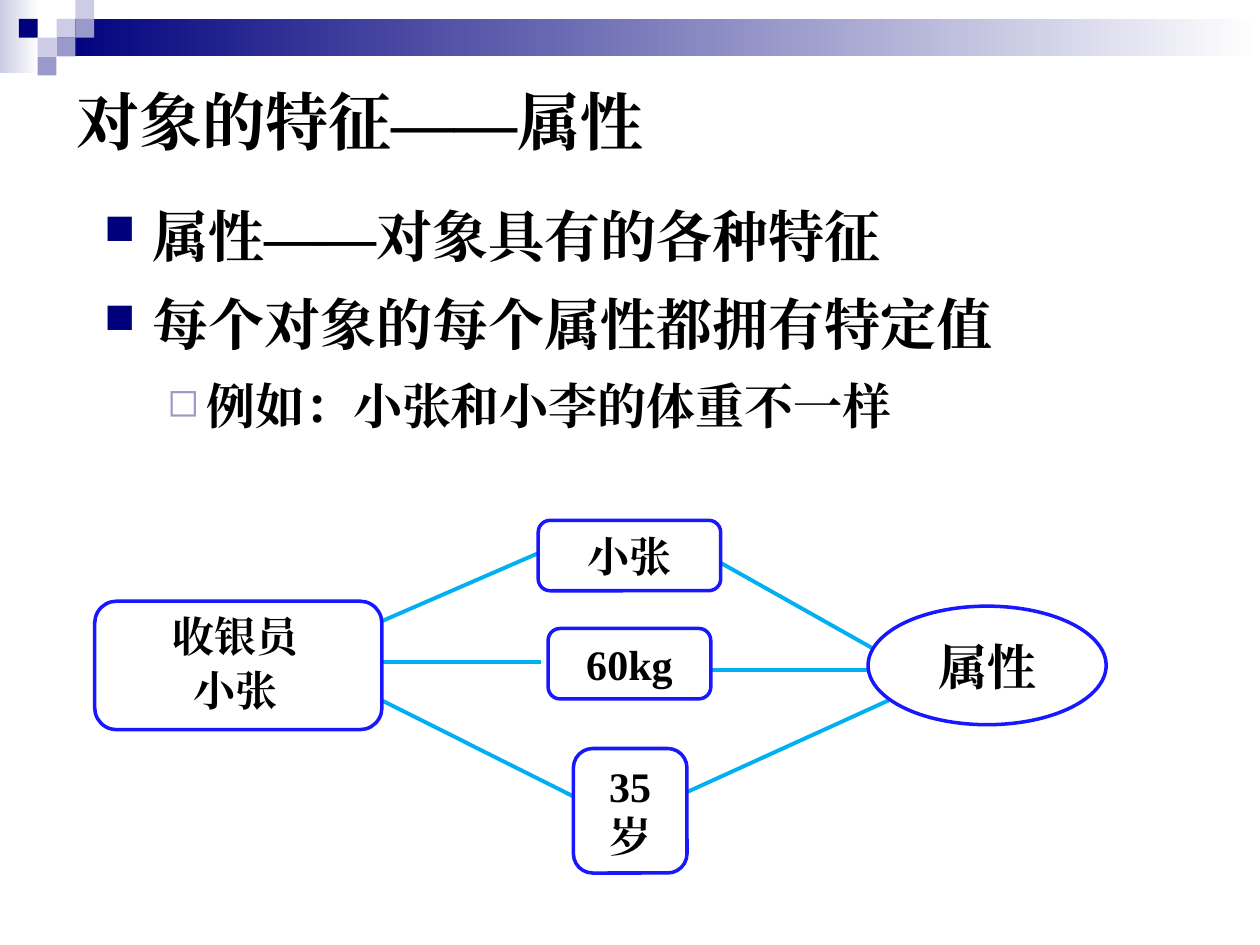
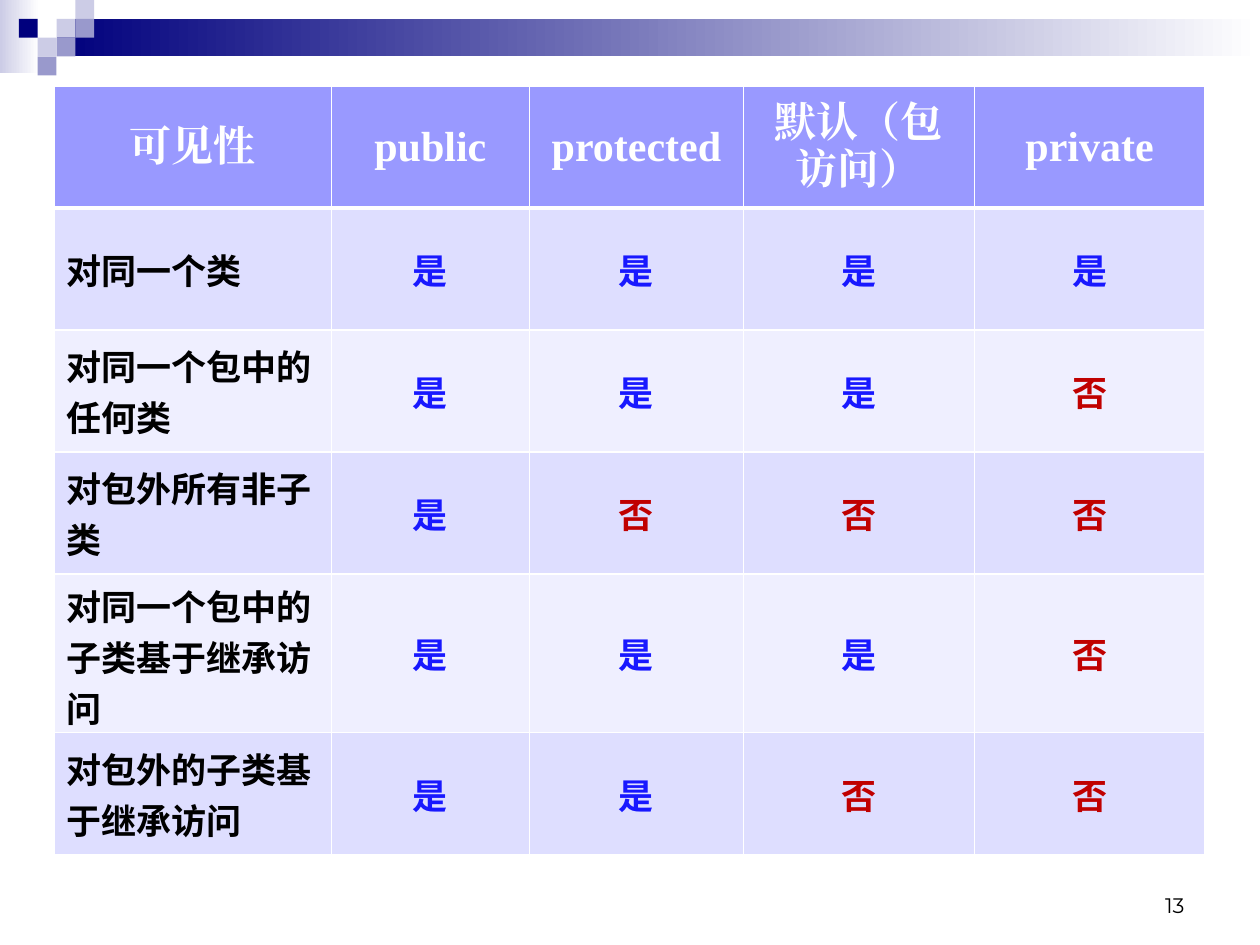
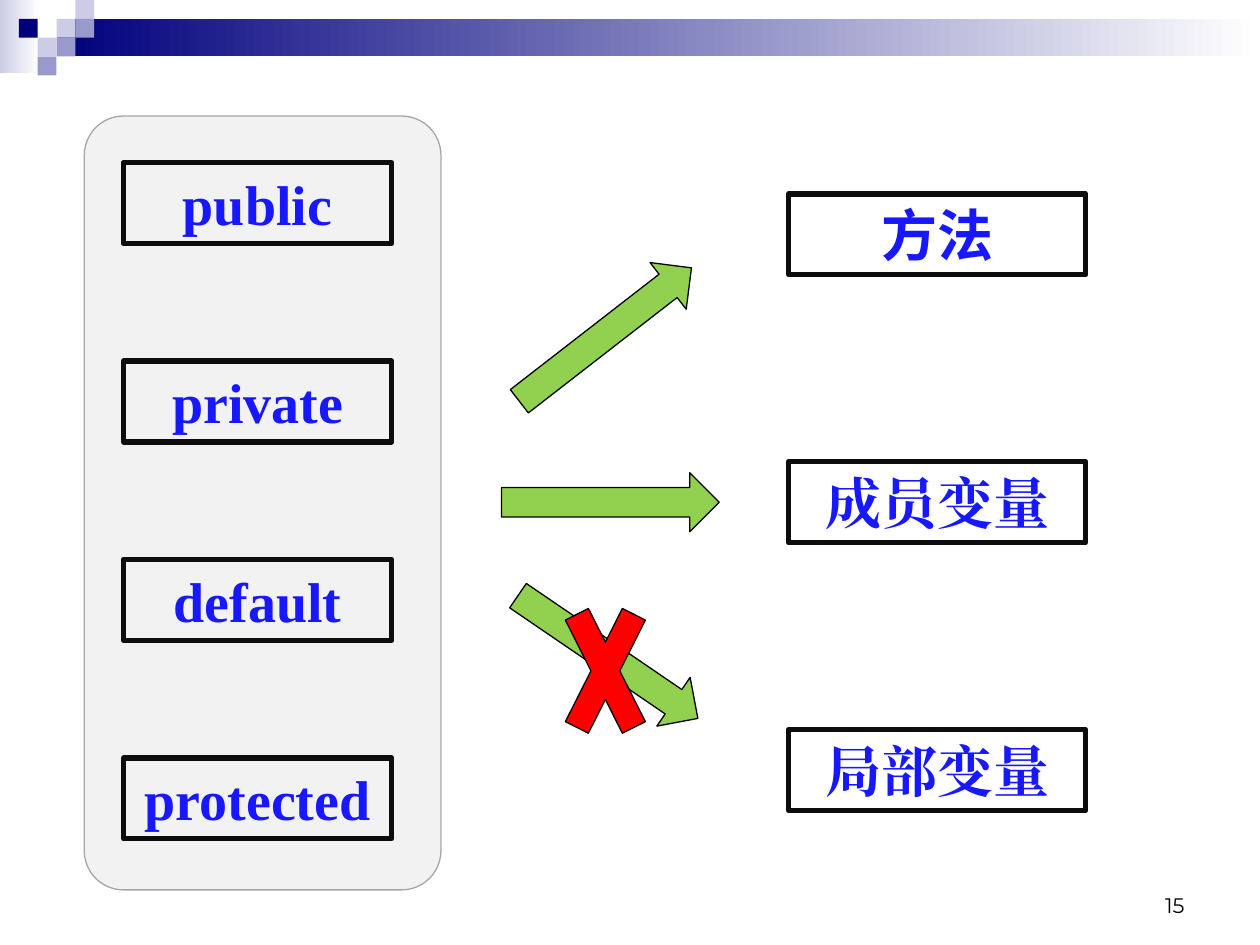
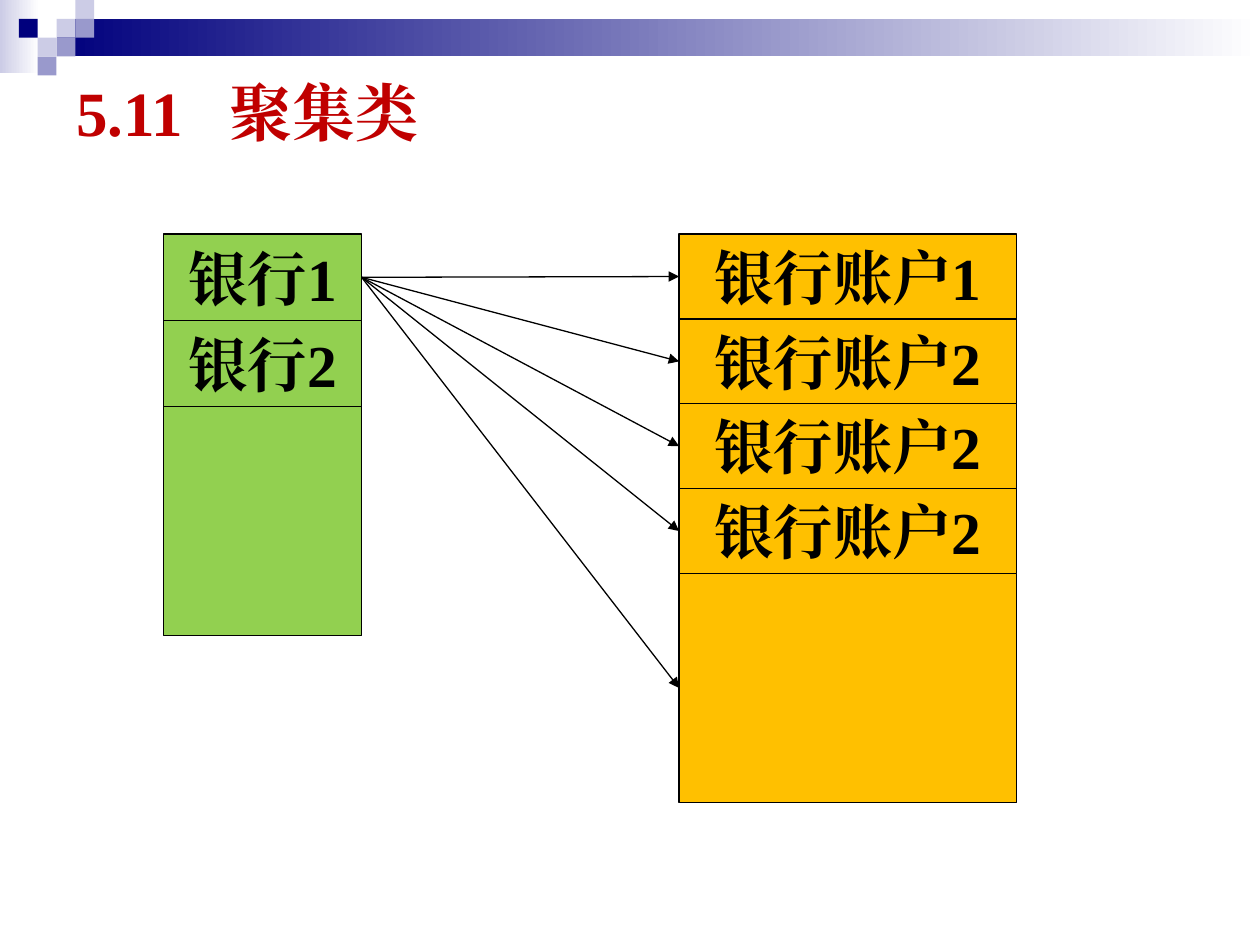
from dataclasses import dataclass

from lxml import etree
from pptx import Presentation
from pptx.dml.color import RGBColor
from pptx.enum.shapes import MSO_CONNECTOR, MSO_SHAPE
from pptx.enum.text import MSO_ANCHOR, MSO_AUTO_SIZE, PP_ALIGN
from pptx.oxml.ns import qn
from pptx.util import Cm, Pt

RECTANGLE = MSO_SHAPE.RECTANGLE
ROUNDED = MSO_SHAPE.ROUNDED_RECTANGLE
OVAL = MSO_SHAPE.OVAL
ARROW = MSO_SHAPE.RIGHT_ARROW
CROSS = MSO_SHAPE.MATH_MULTIPLY
STRAIGHT = MSO_CONNECTOR.STRAIGHT
LEFT, CENTER, RIGHT = PP_ALIGN.LEFT, PP_ALIGN.CENTER, PP_ALIGN.RIGHT
TOP, MIDDLE, BOTTOM = MSO_ANCHOR.TOP, MSO_ANCHOR.MIDDLE, MSO_ANCHOR.BOTTOM
NO_RESIZE = MSO_AUTO_SIZE.NONE

TITLE_ONLY, BLANK = 5, 6
LEFT_SIDE, RIGHT_SIDE = 1, 3

SERIF = "Times New Roman"
CHINESE = "Noto Sans CJK SC"
NUMBERS = "Montserrat"

BLACK, WHITE = "000000", "FFFFFF"
NAVY, LAVENDER, PALE = "00007D", "9999CC", "CCCCE6"
BLUE, SKY, DARK_RED, RED = "1818FF", "00B0F0", "C00000", "FF0000"
GREEN, AMBER = "92D050", "FFC000"
PANEL_GREY, PANEL_EDGE, FRAME = "F2F2F2", "A6A6A6", "0D0D0D"
HEADER_FILL, ROW_FILLS = "9999FF", ("DEDEFF", "EFEFFF")


@dataclass
class Box:
    left: float
    top: float
    width: float
    height: float
    text: str = ""
    kind: int = RECTANGLE
    fill: str = ""
    line: str = ""
    weight: float = 0.75
    size: float = 24
    color: str = BLACK
    font: str = SERIF
    rotation: float = 0
    corner: float = 0.17


@dataclass
class Line:
    start_x: float
    start_y: float
    end_x: float
    end_y: float


@dataclass
class Bullet:
    text: str
    level: int
    size: float
    margin: float
    hanging: float
    mark: str
    mark_color: str
    mark_percent: int


def rgb(value: str) -> RGBColor:
    return RGBColor.from_string(value)


def lengths(*values: float) -> list:
    return [Cm(value) for value in values]


def add_color_fill(parent, color: str) -> None:
    fill = etree.SubElement(parent, qn("a:solidFill"))
    etree.SubElement(fill, qn("a:srgbClr"), val=color)


def style_paragraph(para, size: float, color: str, align=CENTER, font: str = SERIF,
                    bold: bool = True) -> None:
    """Format the runs, with one typeface for Latin and Chinese text."""
    para.alignment = align
    for span in para.runs:
        span.font.name = font
        span.font.size = Pt(size)
        span.font.bold = bold
        span.font.color.rgb = rgb(color)
        etree.SubElement(span.font._element, qn("a:ea"), typeface=font)


def draw_box(slide, box: Box):
    shape = slide.shapes.add_shape(box.kind, *lengths(box.left, box.top, box.width, box.height))
    shape.shadow.inherit = False
    shape.rotation = box.rotation
    if box.kind == ROUNDED:
        shape.adjustments[0] = box.corner
    if box.fill:
        shape.fill.solid()
        shape.fill.fore_color.rgb = rgb(box.fill)
    else:
        shape.fill.background()
    if box.line:
        shape.line.color.rgb = rgb(box.line)
        shape.line.width = Pt(box.weight)
    else:
        shape.line.fill.background()
    if box.text:
        frame = shape.text_frame
        frame.word_wrap = True
        frame.vertical_anchor = MIDDLE
        frame.text = box.text
        for para in frame.paragraphs:
            style_paragraph(para, box.size, box.color, font=box.font)
    return shape


def draw_line(slide, line: Line, color: str, weight: float):
    connector = slide.shapes.add_connector(
        STRAIGHT, *lengths(line.start_x, line.start_y, line.end_x, line.end_y))
    connector.line.color.rgb = rgb(color)
    connector.line.width = Pt(weight)
    etree.SubElement(connector._element.spPr, qn("a:effectLst"))
    return connector


def draw_arrow_between(slide, source, target) -> None:
    connector = draw_line(slide, Line(0, 0, 1, 1), BLACK, 0.75)
    connector.begin_connect(source, RIGHT_SIDE)
    connector.end_connect(target, LEFT_SIDE)
    etree.SubElement(connector.line._get_or_add_ln(), qn("a:tailEnd"), type="triangle")


def draw_gradient(slide, box: Box, start: str):
    shape = draw_box(slide, box)
    shape.fill.gradient()
    shape.fill.gradient_angle = 0
    for stop, color in zip(shape.fill.gradient_stops, (start, WHITE)):
        stop.color.rgb = rgb(color)
    return shape


def move_band_to_master(deck, slide) -> None:
    """Draw the top band and its checker squares, then place them on the master."""
    unit = 0.38
    squares = [(3, 1, PALE), (4, 0, PALE), (4, 1, LAVENDER), (2, 2, PALE),
               (1, 1, NAVY), (3, 2, LAVENDER), (2, 3, LAVENDER)]
    band = [draw_gradient(slide, Box(0, 0, 0.79, 1.47), PALE),
            draw_gradient(slide, Box(3 * unit, unit, 24.26, 2 * unit), NAVY)]
    band += [draw_box(slide, Box(column * unit, row * unit, unit, unit, fill=color))
             for column, row, color in squares]
    for shape in band:
        deck.slide_master.shapes._spTree.append(shape._element)


def add_slide(deck, layout: int):
    return deck.slides.add_slide(deck.slide_layouts[layout])


def set_title(slide, text: str, top: float, height: float, color: str):
    title = slide.shapes.title
    title.left, title.top, title.width, title.height = lengths(1.28, top, 22.86, height)
    frame = title.text_frame
    frame.auto_size = NO_RESIZE
    frame.vertical_anchor = MIDDLE
    frame.text = text
    style_paragraph(frame.paragraphs[0], 36, color, LEFT)
    return title


def add_text_box(slide, left: float, top: float, width: float, height: float, anchor):
    frame = slide.shapes.add_textbox(*lengths(left, top, width, height)).text_frame
    frame.word_wrap = True
    frame.vertical_anchor = anchor
    return frame


def add_page_number(slide, number: int) -> None:
    frame = add_text_box(slide, 18.21, 17.35, 5.92, 1.27, BOTTOM)
    frame.text = str(number)
    style_paragraph(frame.paragraphs[0], 12, BLACK, RIGHT, NUMBERS, bold=False)


def add_bullets(frame, bullets: list[Bullet]) -> None:
    frame.text = "\n".join(bullet.text for bullet in bullets)
    for index, (para, bullet) in enumerate(zip(frame.paragraphs, bullets)):
        properties = para._p.get_or_add_pPr()
        properties.set("marL", str(Cm(bullet.margin)))
        properties.set("indent", str(-Cm(bullet.hanging)))
        mark_color = etree.SubElement(properties, qn("a:buClr"))
        etree.SubElement(mark_color, qn("a:srgbClr"), val=bullet.mark_color)
        etree.SubElement(properties, qn("a:buSzPct"), val=str(bullet.mark_percent * 1000))
        etree.SubElement(properties, qn("a:buChar"), char=bullet.mark)
        para.level = bullet.level
        para.line_spacing = 1.15
        if index:
            para.space_before = Pt(bullet.size * 0.2)
        style_paragraph(para, bullet.size, BLACK, LEFT)


def build_attributes(deck) -> None:
    slide = add_slide(deck, TITLE_ONLY)
    move_band_to_master(deck, slide)
    set_title(slide, "对象的特征——属性", 1.32, 2.21, BLACK)
    square = (0, 32, 0.97, 0.97, "■", NAVY, 75)
    add_bullets(add_text_box(slide, 1.85, 3.73, 22.86, 15.01, TOP), [
        Bullet("属性——对象具有的各种特征", *square),
        Bullet("每个对象的每个属性都拥有特定值", *square),
        Bullet("例如：小张和小李的体重不一样", 1, 28, 2.06, 0.79, "◻", LAVENDER, 80),
    ])
    for line in (Line(7.7, 12.52, 10.9, 11.13), Line(7.7, 13.34, 10.9, 13.34),
                 Line(7.7, 14.12, 11.71, 16.13), Line(14.5, 11.33, 17.7, 13.13),
                 Line(14.3, 13.51, 17.5, 13.51), Line(13.49, 16.13, 17.91, 14.12)):
        draw_line(slide, line, SKY, 2.25)

    outline = {"fill": WHITE, "line": BLUE, "weight": 2}
    draw_box(slide, Box(17.5, 12.22, 4.8, 2.39, "属性", OVAL, size=28, **outline))
    draw_box(slide, Box(1.91, 12.12, 5.79, 2.59, kind=ROUNDED, **outline))
    cashier = draw_box(slide, Box(2.29, 12.14, 4.9, 2.57, "收银员\n小张", ROUNDED))
    for para in cashier.text_frame.paragraphs:
        para.line_spacing = 0.9
    cashier.text_frame.paragraphs[1].space_before = Pt(4.8)
    for value in (Box(11.05, 12.67, 3.28, 1.42, "60kg", ROUNDED, **outline),
                  Box(10.85, 10.49, 3.68, 1.42, "小张", ROUNDED, **outline),
                  Box(11.56, 15.09, 2.29, 2.51, "35岁", ROUNDED, **outline)):
        draw_box(slide, value)


def set_borders(cell, top: float, bottom: float) -> None:
    properties = cell._tc.get_or_add_tcPr()
    for side, weight in (("L", 1), ("R", 1), ("T", top), ("B", bottom)):
        border = etree.SubElement(properties, qn(f"a:ln{side}"), w=str(Pt(weight)))
        add_color_fill(border, WHITE)


def build_visibility(deck) -> None:
    slide = add_slide(deck, BLANK)
    add_page_number(slide, 13)
    rows = [("可见性", "public", "protected", "默认（包访问）", "private"),
            ("对同一个类", *"是是是是"),
            ("对同一个包中的任何类", *"是是是否"),
            ("对包外所有非子类", *"是否否否"),
            ("对同一个包中的子类基于继承访问", *"是是是否"),
            ("对包外的子类基于继承访问", *"是是否否")]
    widths = (5.59, 3.99, 4.32, 4.65, 4.65)
    heights = (2.46, 2.46, 2.46, 2.46, 3.2, 2.46)
    answer_colors = {"是": BLUE, "否": DARK_RED}
    table = slide.shapes.add_table(
        len(rows), len(widths), *lengths(1.09, 1.73, sum(widths), sum(heights))).table
    table.horz_banding = False
    for column, width in zip(table.columns, widths):
        column.width = Cm(width)
    for row_index, (row, height) in enumerate(zip(rows, heights)):
        table.rows[row_index].height = Cm(height)
        is_header = row_index == 0
        for column_index, text in enumerate(row):
            cell = table.cell(row_index, column_index)
            set_borders(cell, 3 if row_index == 1 else 1, 3 if is_header else 1)
            cell.fill.solid()
            cell.fill.fore_color.rgb = rgb(
                HEADER_FILL if is_header else ROW_FILLS[(row_index - 1) % 2])
            cell.vertical_anchor = MIDDLE
            cell.text = text
            para = cell.text_frame.paragraphs[0]
            if is_header:
                style_paragraph(para, 24, WHITE)
            else:
                style_paragraph(para, 20, answer_colors.get(text, BLACK),
                                CENTER if column_index else LEFT, CHINESE)


def build_modifiers(deck) -> None:
    slide = add_slide(deck, BLANK)
    draw_box(slide, Box(1.7, 2.34, 7.19, 15.6, kind=ROUNDED, fill=PANEL_GREY,
                        line=PANEL_EDGE, corner=0.11))
    add_page_number(slide, 15)
    framed = {"line": FRAME, "weight": 3, "size": 32, "color": BLUE}
    for index, keyword in enumerate(("public", "private", "default", "protected")):
        draw_box(slide, Box(2.49, 3.28 + index * 4, 5.41, 1.63, keyword, **framed))
    for index, (member, font) in enumerate(
            (("方法", CHINESE), ("成员变量", SERIF), ("局部变量", SERIF))):
        draw_box(slide, Box(15.9, 3.91 + index * 5.4, 5.99, 1.63, member, font=font, **framed))
    for left, top, angle in ((10.01, 6.15, -37.8), (10.11, 9.53, 0), (10.06, 12.65, 34.3)):
        draw_box(slide, Box(left, top, 4.39, 1.19, kind=ARROW, fill=GREEN, line=BLACK,
                            rotation=angle))
    draw_box(slide, Box(11.1, 11.33, 2.21, 4.39, kind=CROSS, fill=RED, line=BLACK))


def draw_stack(slide, left: float, width: float, row_height: float, fill: str,
               labels: list[str]) -> list:
    """Draw labelled rows with a tall empty row below them."""
    top = 4.72
    look = {"fill": fill, "line": BLACK, "size": 34}
    shapes = [draw_box(slide, Box(left, top + index * row_height, width, row_height,
                                  label, **look))
              for index, label in enumerate(labels)]
    rest = Box(left, top + len(labels) * row_height, width, 4.62, **look)
    return shapes + [draw_box(slide, rest)]


def build_collection(deck) -> None:
    slide = add_slide(deck, TITLE_ONLY)
    title = set_title(slide, "5.11\t聚集类", 0.33, 3.81, DARK_RED)
    properties = title.text_frame.paragraphs[0]._p.get_or_add_pPr()
    tabs = etree.SubElement(properties, qn("a:tabLst"))
    etree.SubElement(tabs, qn("a:tab"), pos=str(Cm(3.1)), algn="l")
    banks = draw_stack(slide, 3.3, 3.99, 1.74, GREEN, ["银行1", "银行2"])
    accounts = draw_stack(slide, 13.69, 6.81, 1.71, AMBER,
                          ["银行账户1", "银行账户2", "银行账户2", "银行账户2"])
    for account in accounts:
        draw_arrow_between(slide, banks[0], account)


def main() -> None:
    deck = Presentation()
    deck.slide_width, deck.slide_height = lengths(25.4, 19.05)
    build_attributes(deck)
    build_visibility(deck)
    build_modifiers(deck)
    build_collection(deck)
    deck.save("out.pptx")


if __name__ == "__main__":
    main()
